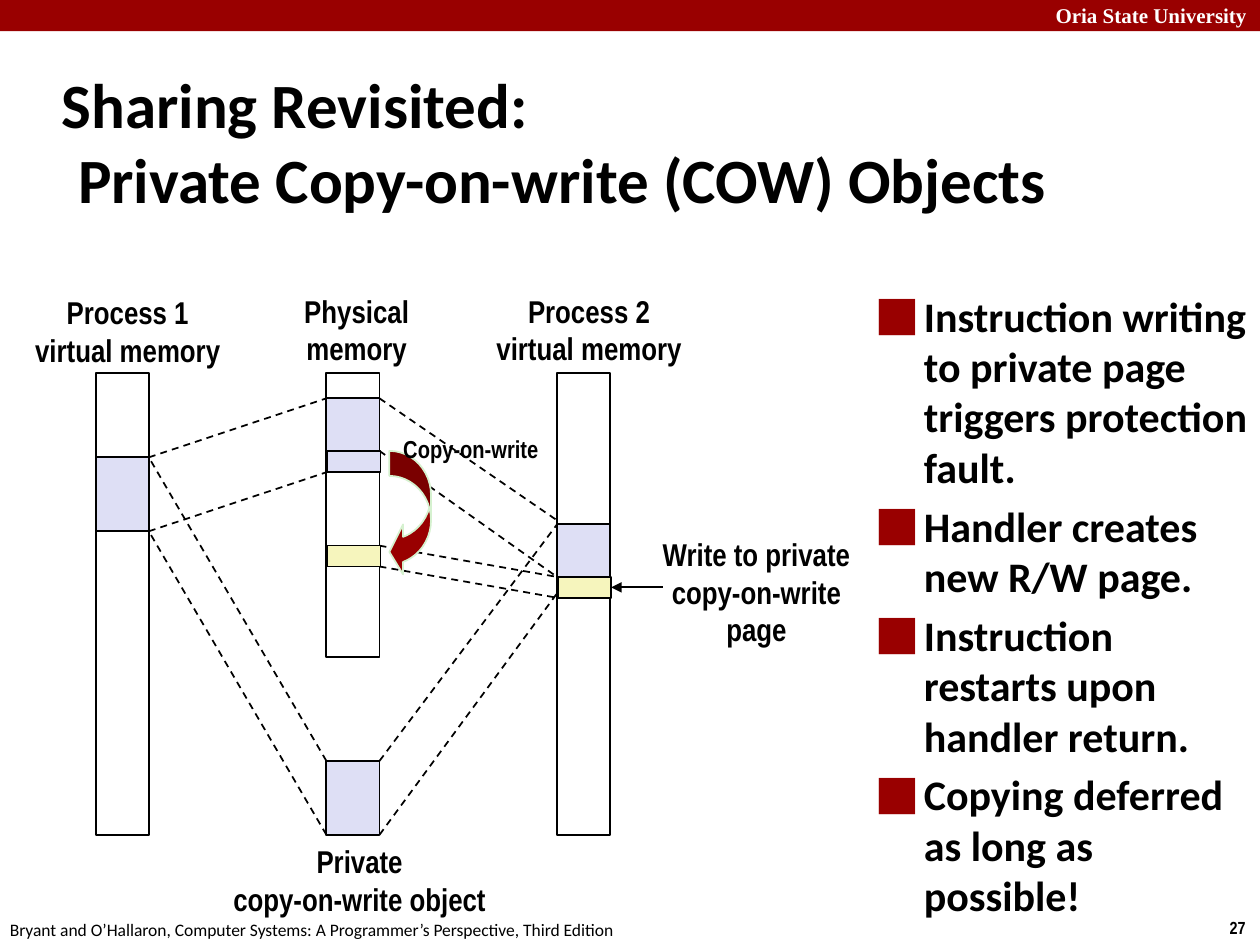
from lxml.etree import SubElement
from pptx import Presentation
from pptx.dml.color import RGBColor
from pptx.enum.dml import MSO_LINE
from pptx.enum.shapes import MSO_CONNECTOR, MSO_SHAPE
from pptx.enum.text import MSO_ANCHOR, MSO_AUTO_SIZE, PP_ALIGN
from pptx.oxml.ns import qn
from pptx.util import Cm, Pt

BLACK = RGBColor(0x00, 0x00, 0x00)
WHITE = RGBColor(0xFF, 0xFF, 0xFF)
DARK_RED = RGBColor(0x99, 0x00, 0x00)
LILAC = RGBColor(0xDE, 0xDF, 0xF5)
YELLOW = RGBColor(0xF6, 0xF5, 0xBD)
PALE_GREEN = RGBColor(0xD5, 0xF1, 0xCF)

# Diagram geometry in centimetres
COLUMN_WIDTH = 1.07
PROCESS_1, PHYSICAL, PROCESS_2 = (1.93 + 4.65 * i for i in range(3))
PROCESS_1_RIGHT = PROCESS_1 + COLUMN_WIDTH
PHYSICAL_RIGHT = PHYSICAL + COLUMN_WIDTH
MEMORY_TOP = 7.52
REGION_HEIGHT = 1.49
REGION_1, REGION_PHYSICAL, REGION_2, REGION_OBJECT = 9.22, 8.03, 10.57, 15.34
PAGE_HEIGHT = 0.42
OLD_PAGE, NEW_PAGE, WRITTEN_PAGE = 9.09, 11.0, 11.63
PAGE_SHIFT = 0.02

BULLETS = [
    "Instruction writing to private page triggers protection fault.",
    "Handler creates new R/W page.",
    "Instruction restarts upon handler return.",
    "Copying deferred as long as possible!",
]


def place(shape, left, top, width, height):
    shape.left, shape.top = Cm(left), Cm(top)
    shape.width, shape.height = Cm(width), Cm(height)


def add_run(paragraph, text, size, font_name, color=BLACK, bold=True):
    run = paragraph.add_run()
    run.text = text
    run.font.size = Pt(size)
    run.font.name = font_name
    run.font.bold = bold
    run.font.color.rgb = color


def set_hanging_indent(paragraph, indent):
    properties = paragraph._p.get_or_add_pPr()
    properties.set("marL", str(Cm(indent)))
    properties.set("indent", str(-Cm(indent)))
    return properties


def add_text(slide, lines, box, size, font_name="Arial Narrow", color=BLACK,
             bold=True, align=PP_ALIGN.CENTER, anchor=MSO_ANCHOR.MIDDLE):
    text_box = slide.shapes.add_textbox(*(Cm(value) for value in box))
    frame = text_box.text_frame
    frame.word_wrap = False
    frame.vertical_anchor = anchor
    for index, line in enumerate(lines):
        paragraph = frame.paragraphs[0] if index == 0 else frame.add_paragraph()
        paragraph.alignment = align
        add_run(paragraph, line, size, font_name, color, bold)


def add_block(slide, left, top, width, height, fill=None, line=BLACK,
              preset=MSO_SHAPE.RECTANGLE):
    shape = slide.shapes.add_shape(preset, Cm(left), Cm(top), Cm(width), Cm(height))
    shape.shadow.inherit = False
    if fill is None:
        shape.fill.background()
    else:
        shape.fill.solid()
        shape.fill.fore_color.rgb = fill
    if line is None:
        shape.line.fill.background()
    else:
        shape.line.color.rgb = line
        shape.line.width = Pt(1)
    return shape


def add_page(slide, column, top, fill):
    return add_block(slide, column + PAGE_SHIFT, top, COLUMN_WIDTH, PAGE_HEIGHT, fill)


def add_line(slide, x1, y1, x2, y2, dashed=True):
    line = slide.shapes.add_connector(
        MSO_CONNECTOR.STRAIGHT, Cm(x1), Cm(y1), Cm(x2), Cm(y2))
    line.line.color.rgb = BLACK
    line.line.width = Pt(1)
    if dashed:
        line.line.dash_style = MSO_LINE.DASH
    SubElement(line._element.spPr, qn("a:effectLst"))
    return line


def add_header_and_footer(slide):
    add_block(slide, 0, 0, 25.4, 0.63, DARK_RED, line=None)
    common = {"align": PP_ALIGN.LEFT, "anchor": MSO_ANCHOR.TOP}
    add_text(slide, ["Oria State University"], (21.03, -0.08, 4.55, 0.76), 12,
             "Times New Roman", WHITE, **common)
    add_text(slide, ["27"], (24.54, 18.36, 0.86, 0.69), 10, **common)
    add_text(slide, ["Bryant and O’Hallaron, Computer Systems: "
                     "A Programmer’s Perspective, Third Edition"],
             (-0.05, 18.41, 12.9, 0.69), 10, "Calibri", bold=False, **common)


def fill_title(title):
    place(title, 0.99, 1.22, 21.08, 3.23)
    frame = title.text_frame
    frame.auto_size = MSO_AUTO_SIZE.NONE
    frame.vertical_anchor = MSO_ANCHOR.MIDDLE
    paragraph = frame.paragraphs[0]
    paragraph.alignment = PP_ALIGN.LEFT
    set_hanging_indent(paragraph, 0.33)
    add_run(paragraph, "Sharing Revisited:", 36, "Calibri")
    paragraph.add_line_break()
    add_run(paragraph, "Private Copy-on-write (COW) Objects", 36, "Calibri")


def fill_bullets(body):
    place(body, 17.42, 5.72, 7.98, 12.52)
    frame = body.text_frame
    frame.auto_size = MSO_AUTO_SIZE.NONE
    for index, text in enumerate(BULLETS):
        paragraph = frame.paragraphs[0] if index == 0 else frame.add_paragraph()
        paragraph.space_before = Pt(4.8 if index else 0)
        properties = set_hanging_indent(paragraph, 0.95)
        bullet_color = SubElement(properties, qn("a:buClr"))
        SubElement(bullet_color, qn("a:srgbClr"), val=str(DARK_RED))
        SubElement(properties, qn("a:buChar"), char="⬛")
        add_run(paragraph, text, 24, "Calibri")


def add_memory(slide):
    for column, height in ((PROCESS_1, 9.32), (PHYSICAL, 5.72), (PROCESS_2, 9.32)):
        add_block(slide, column, MEMORY_TOP, COLUMN_WIDTH, height)
    for column, top in ((PHYSICAL, REGION_OBJECT), (PHYSICAL, REGION_PHYSICAL),
                        (PROCESS_1, REGION_1), (PROCESS_2, REGION_2)):
        add_block(slide, column, top, COLUMN_WIDTH, REGION_HEIGHT, LILAC)


def add_mappings(slide):
    """Dashed lines that tie the edges of matching regions together."""
    for offset in (0, REGION_HEIGHT):
        left_edge = (PROCESS_1_RIGHT, REGION_1 + offset)
        add_line(slide, PHYSICAL, REGION_OBJECT + offset, *left_edge)
        add_line(slide, *left_edge, PHYSICAL, REGION_PHYSICAL + offset)
    for physical_y, process_y in (
            (REGION_OBJECT, REGION_2),
            (REGION_OBJECT + REGION_HEIGHT, 11.96),
            (REGION_PHYSICAL, 10.49),
            (OLD_PAGE, WRITTEN_PAGE),
            (NEW_PAGE, WRITTEN_PAGE),
            (NEW_PAGE + PAGE_HEIGHT, WRITTEN_PAGE + PAGE_HEIGHT)):
        add_line(slide, PHYSICAL_RIGHT, physical_y, PROCESS_2, process_y)


def add_copy_on_write(slide):
    arrow = add_block(slide, 7.85, 9.09, 0.84, 2.54, DARK_RED, PALE_GREEN,
                      MSO_SHAPE.CURVED_LEFT_ARROW)
    for index, value in enumerate((0.6, 1.2, 0.33)):
        arrow.adjustments[index] = value
    add_text(slide, ["Copy-on-write"], (7.87, 8.61, 3.25, 0.86), 14)
    add_page(slide, PHYSICAL, OLD_PAGE, LILAC)
    add_page(slide, PHYSICAL, NEW_PAGE, YELLOW)
    written_page = add_page(slide, PROCESS_2, WRITTEN_PAGE, YELLOW)

    middle = WRITTEN_PAGE + PAGE_HEIGHT / 2
    pointer = add_line(slide, 13.36, middle, 12.32, middle, dashed=False)
    pointer.end_connect(written_page, 3)
    SubElement(pointer.line._get_or_add_ln(), qn("a:tailEnd"), type="triangle")


def add_labels(slide):
    for lines, box in (
            (["Process 1", "virtual memory"], (0.43, 5.77, 4.29, 1.8)),
            (["Physical", "memory"], (5.87, 5.74, 2.64, 1.8)),
            (["Process 2", "virtual memory"], (9.73, 5.74, 4.29, 1.8)),
            (["Private", "copy-on-write object"], (4.42, 16.84, 5.66, 1.8)),
            (["Write to private", "copy-on-write", "page"],
             (13.08, 10.64, 4.34, 2.57))):
        add_text(slide, lines, box, 18)


def main():
    presentation = Presentation()
    presentation.slide_width, presentation.slide_height = Cm(25.4), Cm(19.05)
    slide = presentation.slides.add_slide(presentation.slide_layouts[1])
    add_header_and_footer(slide)
    fill_title(slide.shapes.title)
    fill_bullets(slide.placeholders[1])
    add_memory(slide)
    add_mappings(slide)
    add_copy_on_write(slide)
    add_labels(slide)
    presentation.save("out.pptx")


if __name__ == "__main__":
    main()
